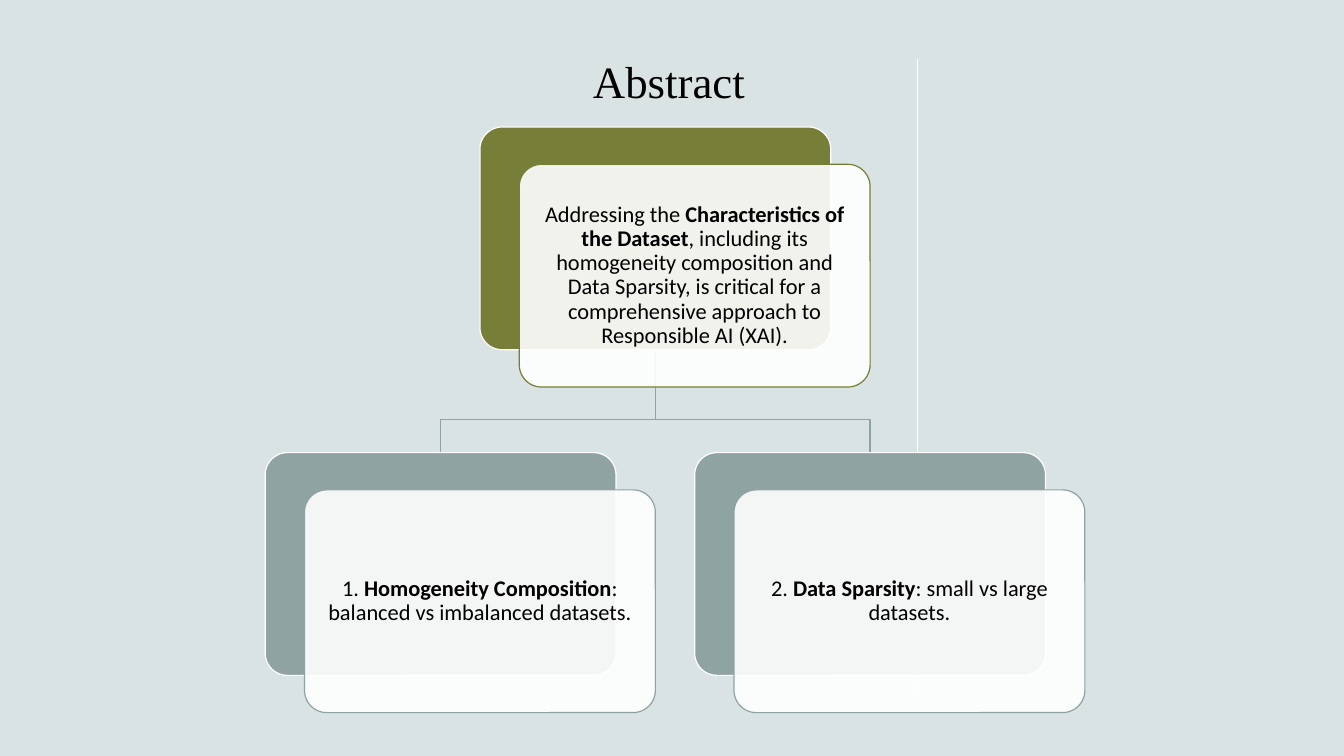
from dataclasses import dataclass

from lxml import etree
from pptx import Presentation
from pptx.dml.color import RGBColor
from pptx.enum.shapes import MSO_CONNECTOR, MSO_SHAPE
from pptx.enum.text import MSO_ANCHOR, PP_ALIGN
from pptx.oxml.ns import qn
from pptx.shapes.autoshape import Shape
from pptx.slide import Slide
from pptx.text.text import TextFrame
from pptx.util import Inches, Pt

ROUNDED = MSO_SHAPE.ROUNDED_RECTANGLE
STRAIGHT = MSO_CONNECTOR.STRAIGHT
CENTER = PP_ALIGN.CENTER
MIDDLE = MSO_ANCHOR.MIDDLE
BOTTOM = MSO_ANCHOR.BOTTOM


@dataclass(frozen=True)
class Theme:
    background: RGBColor = RGBColor(0xDA, 0xE3, 0xE3)
    olive: RGBColor = RGBColor(0x76, 0x7E, 0x37)
    sage: RGBColor = RGBColor(0x8F, 0xA3, 0xA3)
    white: RGBColor = RGBColor(0xFF, 0xFF, 0xFF)
    text: RGBColor = RGBColor(0, 0, 0)
    title_font: str = "Times New Roman"
    body_font: str = "Calibri"
    title_size: int = 32
    body_size: int = 16
    card_line: float = 0.85
    rule_line: float = 1


@dataclass(frozen=True)
class Node:
    """A card pair; column and row count steps of the tree grid."""
    column: int
    row: int
    color: RGBColor
    lead: str
    key: str
    rest: str

    @property
    def left(self) -> float:
        return GRID_LEFT + self.column * COLUMN_STEP

    @property
    def top(self) -> float:
        return GRID_TOP + self.row * ROW_STEP

    @property
    def center(self) -> float:
        return self.left + CARD_WIDTH / 2


THEME = Theme()
SLIDE_WIDTH, SLIDE_HEIGHT = 13.33, 7.5
GRID_LEFT, GRID_TOP = 2.63, 1.26
COLUMN_STEP, ROW_STEP = 2.13, 3.23
CARD_WIDTH, CARD_HEIGHT = 3.48, 2.21
FRONT_SHIFT_X, FRONT_SHIFT_Y = 0.39, 0.37
CARD_INSET = 0.07
BRANCH_DROP = 0.69
RULE_X, RULE_TOP, RULE_BOTTOM = 9.1, 0.59, 6.91

ROOT = Node(1, 0, THEME.olive, "Addressing the ", "Characteristics of the Dataset",
            ", including its homogeneity composition and Data Sparsity, is critical "
            "for a comprehensive approach to Responsible AI (XAI).")
CHILDREN = (
    Node(0, 1, THEME.sage, "1. ", "Homogeneity Composition",
         ": balanced vs imbalanced datasets."),
    Node(2, 1, THEME.sage, "2. ", "Data Sparsity", ": small vs large datasets."),
)


def add_title(slide: Slide, title: str) -> None:
    box = slide.shapes.add_textbox(Inches(5.27), Inches(0.43), Inches(2.73), Inches(0.69))
    frame = box.text_frame
    frame.word_wrap = True
    frame.vertical_anchor = BOTTOM
    frame.text = title
    paragraph = frame.paragraphs[0]
    paragraph.alignment = CENTER
    font = paragraph.runs[0].font
    font.name, font.size = THEME.title_font, Pt(THEME.title_size)
    font.color.rgb = THEME.text


def add_rule(slide: Slide) -> None:
    rule = slide.shapes.add_connector(STRAIGHT, Inches(RULE_X), Inches(RULE_TOP),
                                      Inches(RULE_X), Inches(RULE_BOTTOM))
    rule.line.color.rgb = THEME.white
    rule.line.width = Pt(THEME.rule_line)
    etree.SubElement(rule._element.spPr, qn("a:effectLst"))


def add_branch(slide: Slide, parent: Node, child: Node) -> None:
    start_y = parent.top + CARD_HEIGHT
    bend_y = start_y + BRANCH_DROP
    points = [(parent.center, bend_y), (child.center, bend_y), (child.center, child.top)]
    builder = slide.shapes.build_freeform(Inches(parent.center), Inches(start_y))
    builder.add_line_segments([(Inches(x), Inches(y)) for x, y in points], close=False)
    branch = builder.convert_to_shape()
    branch.fill.background()
    branch.line.color.rgb = THEME.sage
    branch.line.width = Pt(THEME.card_line)
    branch.shadow.inherit = False


def add_card(slide: Slide, left: float, top: float, fill: RGBColor, line: RGBColor) -> Shape:
    card = slide.shapes.add_shape(ROUNDED, Inches(left), Inches(top),
                                  Inches(CARD_WIDTH), Inches(CARD_HEIGHT))
    card.adjustments[0] = 0.1
    card.fill.solid()
    card.fill.fore_color.rgb = fill
    card.line.color.rgb = line
    card.line.width = Pt(THEME.card_line)
    card.shadow.inherit = False
    return card


def set_opacity(shape: Shape, percent: int) -> None:
    color = shape._element.spPr.find(qn("a:solidFill"))[0]
    etree.SubElement(color, qn("a:alpha")).set("val", str(percent * 1000))


def write_node_text(frame: TextFrame, node: Node) -> None:
    frame.word_wrap = True
    frame.vertical_anchor = MIDDLE
    frame.margin_left = frame.margin_right = Inches(CARD_INSET)
    frame.margin_top = frame.margin_bottom = Inches(CARD_INSET)
    paragraph = frame.paragraphs[0]
    paragraph.alignment = CENTER
    paragraph.line_spacing = 0.9
    for text in (node.lead, node.key, node.rest):
        run = paragraph.add_run()
        run.text = text
        run.font.name, run.font.size = THEME.body_font, Pt(THEME.body_size)
        run.font.bold = text == node.key
        run.font.color.rgb = THEME.text


def add_node(slide: Slide, node: Node) -> None:
    add_card(slide, node.left, node.top, node.color, THEME.white)
    front = add_card(slide, node.left + FRONT_SHIFT_X, node.top + FRONT_SHIFT_Y,
                     THEME.white, node.color)
    set_opacity(front, 90)
    write_node_text(front.text_frame, node)


def main() -> None:
    presentation = Presentation()
    presentation.slide_width = Inches(SLIDE_WIDTH)
    presentation.slide_height = Inches(SLIDE_HEIGHT)
    slide = presentation.slides.add_slide(presentation.slide_layouts[6])
    slide.background.fill.solid()
    slide.background.fill.fore_color.rgb = THEME.background

    add_title(slide, "Abstract")
    add_rule(slide)
    for child in reversed(CHILDREN):
        add_branch(slide, ROOT, child)
    for node in (ROOT, *CHILDREN):
        add_node(slide, node)
    presentation.save("out.pptx")


if __name__ == "__main__":
    main()
